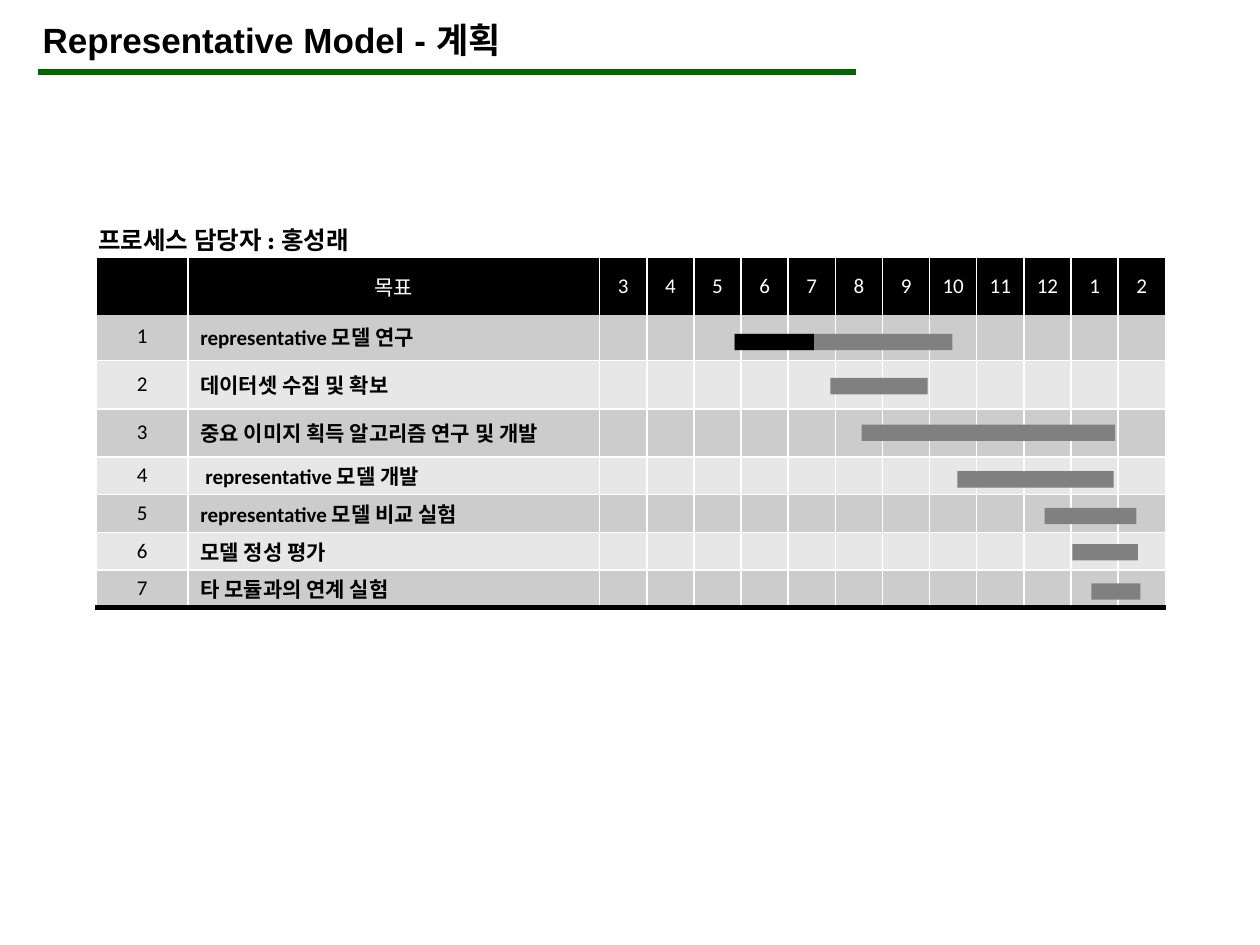
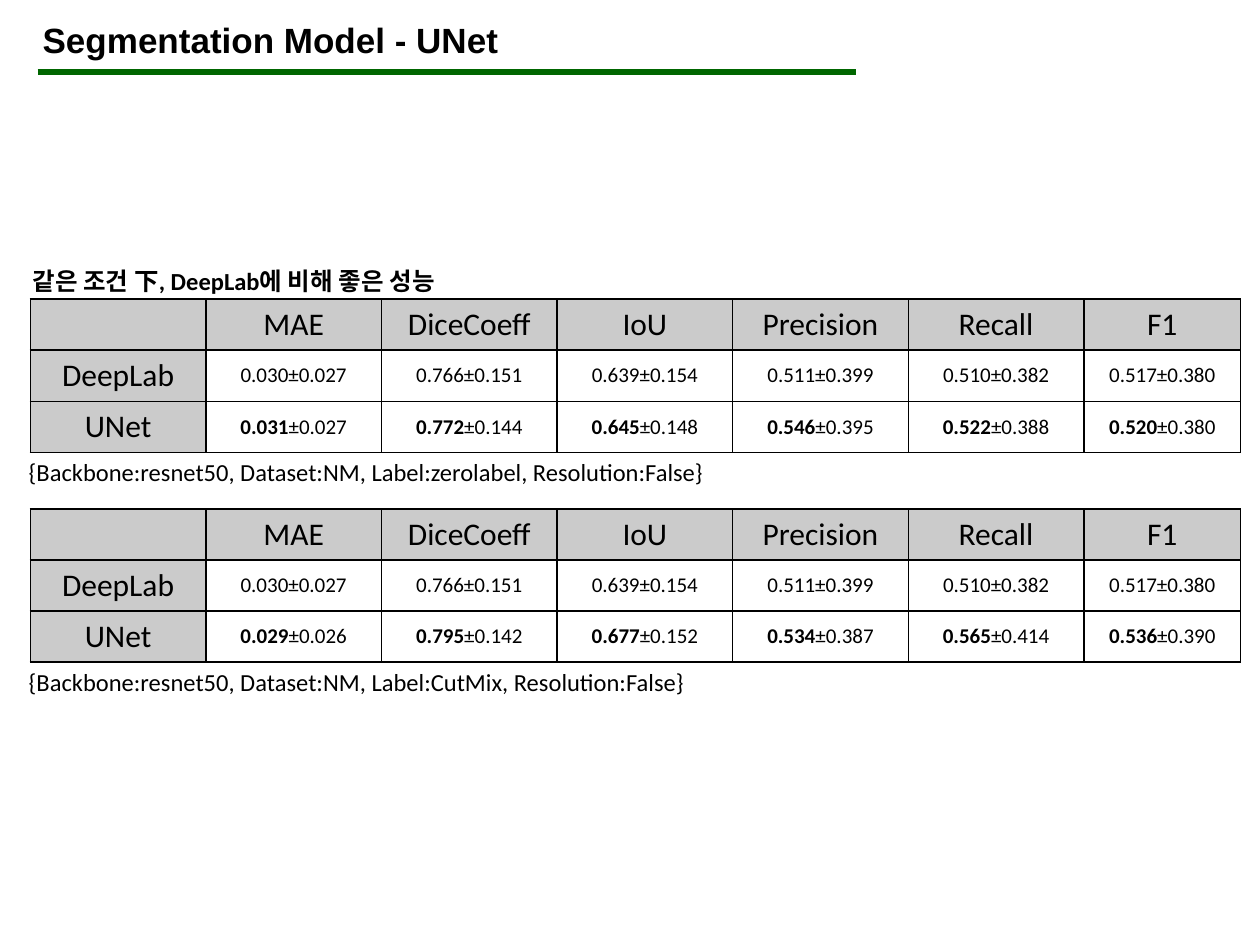
from dataclasses import dataclass

from lxml import etree
from pptx import Presentation
from pptx.dml.color import RGBColor
from pptx.enum.shapes import MSO_CONNECTOR, MSO_SHAPE
from pptx.enum.text import MSO_ANCHOR, PP_ALIGN
from pptx.oxml.ns import qn
from pptx.slide import Slide
from pptx.table import Table, _Cell
from pptx.util import Cm, Pt

STRAIGHT = MSO_CONNECTOR.STRAIGHT
RECTANGLE = MSO_SHAPE.RECTANGLE
MIDDLE = MSO_ANCHOR.MIDDLE
CENTER, LEFT = PP_ALIGN.CENTER, PP_ALIGN.LEFT


@dataclass(frozen=True)
class Theme:
    black: str = "000000"
    white: str = "FFFFFF"
    rule: str = "006600"
    bar: str = "808080"
    bands: tuple[str, str] = ("CCCCCC", "E7E7E7")
    heading: str = "CBCBCB"
    title_font: str = "Arial"
    body_font: str = "Calibri"
    owner_font: str = "League Spartan"
    title_size: int = 20
    heading_size: int = 18
    caption_size: int = 14
    cell_size: int = 12


THEME = Theme()


@dataclass(frozen=True)
class Span:
    text: str
    size: int = THEME.cell_size
    bold: bool = False
    color: str = THEME.black
    font: str = THEME.body_font


@dataclass(frozen=True)
class Edge:
    color: str
    points: float = 1


@dataclass(frozen=True)
class Edges:
    left: Edge
    right: Edge
    top: Edge
    bottom: Edge


@dataclass(frozen=True)
class Task:
    """A goal with its bar; lengths are in centimetres."""
    goal: str
    row_height: float
    bar_left: float
    bar_top: float
    bar_width: float
    done_width: float = 0
    indent: float = 0.25


@dataclass(frozen=True)
class Result:
    top: float
    unet: tuple[str, ...]
    setting: str


WHITE_EDGE = Edge(THEME.white)
HEAVY_WHITE = Edge(THEME.white, 3)
HEAVY_BLACK = Edge(THEME.black, 3)
BLACK_GRID = Edges(*[Edge(THEME.black)] * 4)

MONTHS = [*range(3, 13), 1, 2]
PLAN_LEFT = 1.94
PLAN_WIDTHS = [1.85, 8.3] + [0.95] * len(MONTHS)
BAR_HEIGHT = 0.33
TASKS = [
    Task("representative 모델 연구", 0.97, 14.81, 6.73, 4.39, done_width=1.6),
    Task("데이터셋 수집 및 확보", 0.97, 16.74, 7.62, 1.96),
    Task("중요 이미지 획득 알고리즘 연구 및 개발", 0.97, 17.37, 8.56, 5.11),
    Task("representative 모델 개발", 0.76, 19.3, 9.5, 3.15, indent=0.35),
    Task("representative 모델 비교 실험", 0.76, 21.06, 10.24, 1.85),
    Task("모델 정성 평가", 0.76, 21.62, 10.97, 1.32),
    Task("타 모듈과의 연계 실험", 0.76, 22, 11.76, 0.99),
]

METRICS = ["MAE", "DiceCoeff", "IoU", "Precision", "Recall", "F1"]
METRIC_WIDTHS = [3.54] * 6 + [3.16]
DEEPLAB = ["0.030±0.027", "0.766±0.151", "0.639±0.154",
           "0.511±0.399", "0.510±0.382", "0.517±0.380"]
RESULTS = [
    Result(6.03,
           ("0.031±0.027", "0.772±0.144", "0.645±0.148",
            "0.546±0.395", "0.522±0.388", "0.520±0.380"),
           "{Backbone:resnet50, Dataset:NM, Label:zerolabel, Resolution:False}"),
    Result(10.26,
           ("0.029±0.026", "0.795±0.142", "0.677±0.152",
            "0.534±0.387", "0.565±0.414", "0.536±0.390"),
           "{Backbone:resnet50, Dataset:NM, Label:CutMix, Resolution:False}"),
]


def rgb(color: str) -> RGBColor:
    return RGBColor.from_string(color)


def write_spans(para, spans: list[Span]) -> None:
    for span in spans:
        run = para.add_run()
        run.text = span.text
        formats = {"size": Pt(span.size), "bold": span.bold, "name": span.font}
        for name, value in formats.items():
            setattr(run.font, name, value)
        run.font.color.rgb = rgb(span.color)


def add_text(page: Slide, left: float, top: float, width: float,
             height: float, span: Span) -> None:
    box = page.shapes.add_textbox(Cm(left), Cm(top), Cm(width), Cm(height))
    box.text_frame.word_wrap = True
    write_spans(box.text_frame.paragraphs[0], [span])


def add_bar(page: Slide, left: float, top: float, width: float,
            color: str) -> None:
    bar = page.shapes.add_shape(RECTANGLE, Cm(left), Cm(top), Cm(width),
                                Cm(BAR_HEIGHT))
    bar.shadow.inherit = False
    bar.fill.solid()
    bar.fill.fore_color.rgb = rgb(color)
    bar.line.fill.background()


def add_titled_page(deck, title: str) -> Slide:
    """Add a blank page with the title and the rule below it."""
    page = deck.slides.add_slide(deck.slide_layouts[6])
    rule = page.shapes.add_connector(STRAIGHT, Cm(0.76), Cm(1.45),
                                     Cm(17.25), Cm(1.45))
    rule.line.color.rgb = rgb(THEME.rule)
    rule.line.width = Pt(3)
    etree.SubElement(rule._element.spPr, qn("a:effectLst"))
    add_text(page, 0.61, 0.25, 20.45, 1.12,
             Span(title, THEME.title_size, True, font=THEME.title_font))
    return page


def add_grid(page: Slide, left: float, top: float, widths: list[float],
             heights: list[float]) -> Table:
    frame = page.shapes.add_table(len(heights), len(widths), Cm(left), Cm(top),
                                  Cm(sum(widths)), Cm(sum(heights)))
    table = frame.table
    table.first_row = table.horz_banding = False
    for column, width in zip(table.columns, widths):
        column.width = Cm(width)
    for row, height in zip(table.rows, heights):
        row.height = Cm(height)
    return table


def draw_edges(cell: _Cell, edges: Edges) -> None:
    properties = cell._tc.get_or_add_tcPr()
    for side in ("left", "right", "top", "bottom"):
        edge = getattr(edges, side)
        line = etree.SubElement(properties, qn(f"a:ln{side[0].upper()}"),
                                w=str(Pt(edge.points)))
        fill = etree.SubElement(line, qn("a:solidFill"))
        etree.SubElement(fill, qn("a:srgbClr"), val=edge.color)


def fill_cell(cell: _Cell, spans: list[Span], edges: Edges,
              fill: str | None = None, align=CENTER,
              indent: float = 0) -> None:
    draw_edges(cell, edges)
    if fill:
        cell.fill.solid()
        cell.fill.fore_color.rgb = rgb(fill)
    else:
        cell.fill.background()
    formats = {"vertical_anchor": MIDDLE, "margin_left": Cm(indent),
               "margin_right": 0, "margin_top": 0, "margin_bottom": 0}
    for name, value in formats.items():
        setattr(cell, name, value)
    para = cell.text_frame.paragraphs[0]
    para.alignment = align
    write_spans(para, spans)
    if not spans:
        # An empty cell would otherwise stretch its row to 18 pt text.
        etree.SubElement(para._p, qn("a:endParaRPr"),
                         sz=str(THEME.cell_size * 100))


def draw_plan(page: Slide) -> None:
    header = add_grid(page, PLAN_LEFT, 5.18, PLAN_WIDTHS, [1.19])
    header_edges = Edges(WHITE_EDGE, WHITE_EDGE, WHITE_EDGE, HEAVY_WHITE)
    for column, label in enumerate(["", "목표", *MONTHS]):
        spans = [Span(str(label), color=THEME.white)] if label else []
        fill_cell(header.cell(0, column), spans, header_edges, THEME.black)

    body = add_grid(page, PLAN_LEFT, 6.3, PLAN_WIDTHS,
                    [task.row_height for task in TASKS])
    last = len(TASKS) - 1
    for row, task in enumerate(TASKS):
        edges = Edges(WHITE_EDGE, WHITE_EDGE,
                      HEAVY_BLACK if row == 0 else WHITE_EDGE,
                      HEAVY_BLACK if row == last else WHITE_EDGE)
        band = THEME.bands[row % 2]
        fill_cell(body.cell(row, 0), [Span(str(row + 1))], edges, band)
        fill_cell(body.cell(row, 1), [Span(task.goal, bold=True)], edges, band,
                  LEFT, task.indent)
        for column in range(2, len(PLAN_WIDTHS)):
            fill_cell(body.cell(row, column), [], edges, band)

    for task in TASKS:
        add_bar(page, task.bar_left, task.bar_top, task.bar_width, THEME.bar)
        if task.done_width:
            add_bar(page, task.bar_left, task.bar_top, task.done_width,
                    THEME.black)


def draw_result(page: Slide, result: Result) -> None:
    table = add_grid(page, 0.61, result.top, METRIC_WIDTHS, [1.03] * 3)
    rows = [["", *METRICS], ["DeepLab", *DEEPLAB], ["UNet", *result.unet]]
    for row, texts in enumerate(rows):
        for column, text in enumerate(texts):
            is_heading = row == 0 or column == 0
            if is_heading:
                spans = [Span(text, THEME.heading_size)] if text else []
            elif row == 2:
                mean, deviation = text.split("±")
                spans = [Span(mean, bold=True), Span(f"±{deviation}")]
            else:
                spans = [Span(text)]
            fill_cell(table.cell(row, column), spans, BLACK_GRID,
                      THEME.heading if is_heading else None)
    add_text(page, 0.33, result.top + 3.06, 22.15, 0.86,
             Span(result.setting, THEME.caption_size))


def main() -> None:
    deck = Presentation()
    deck.slide_width, deck.slide_height = Cm(25.4), Cm(19.05)

    plan = add_titled_page(deck, "Representative Model - 계획")
    draw_plan(plan)
    add_text(plan, 1.73, 4.42, 11.2, 0.86,
             Span("프로세스 담당자 : 홍성래", THEME.caption_size, True,
                  font=THEME.owner_font))

    comparison = add_titled_page(deck, "Segmentation Model - UNet")
    for result in RESULTS:
        draw_result(comparison, result)
    add_text(comparison, 0.41, 5.23, 22.15, 0.86,
             Span("같은 조건 下, DeepLab에 비해 좋은 성능",
                  THEME.caption_size, True))

    deck.save("out.pptx")


if __name__ == "__main__":
    main()
